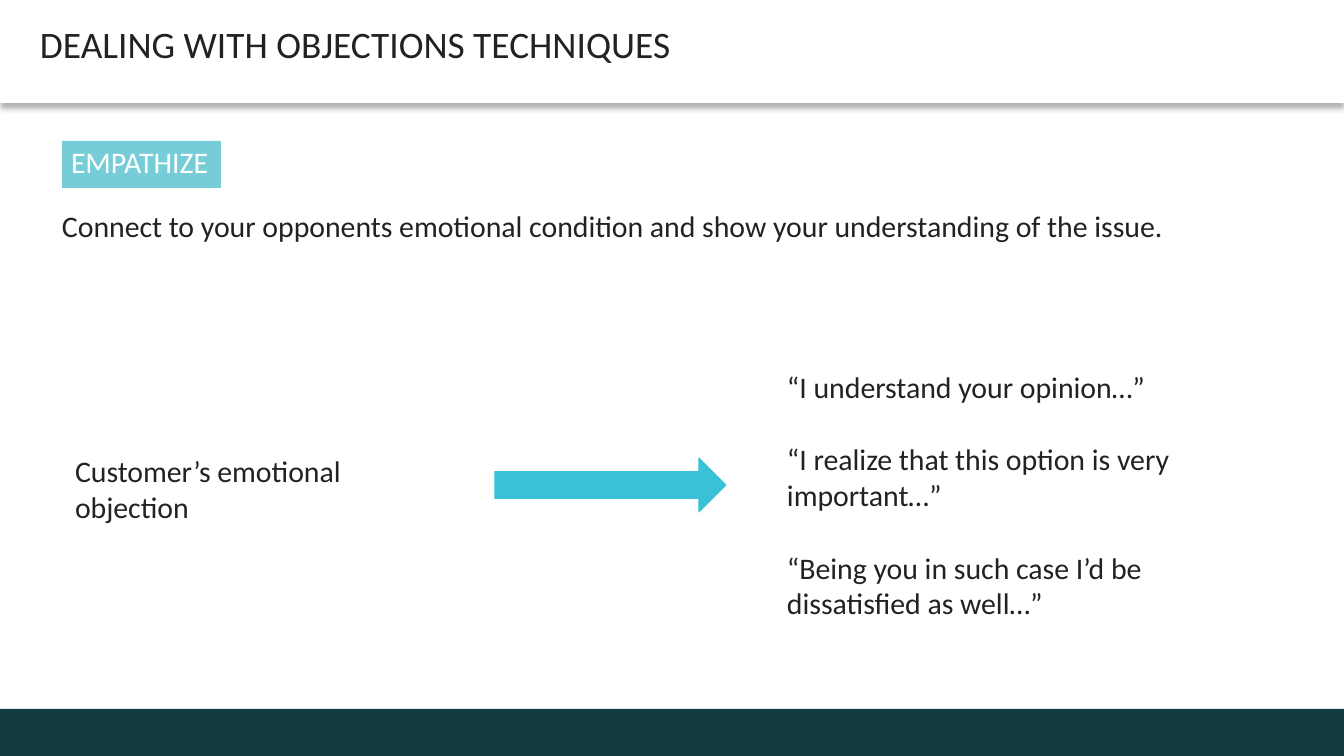
import dataclasses

import lxml.etree
import pptx
import pptx.dml.color
import pptx.enum.shapes
import pptx.enum.text
import pptx.oxml.ns
import pptx.util

SCALE = 914400 / 134.4
SHAPES = pptx.enum.shapes.MSO_SHAPE
ANCHORS = pptx.enum.text.MSO_ANCHOR


@dataclasses.dataclass(frozen=True)
class Theme:
    """Colours, font and type sizes of the slide."""

    font: str = "Calibri"
    title_size: int = 20
    body_size: int = 16
    ink: str = "222222"
    white: str = "FFFFFF"
    footer: str = "133C41"
    arrow: str = "39C2D7"
    tag: str = "76CDD8"
    shadow: str = "000000"


THEME = Theme()


def px(length):
    """Turn a length in px into EMU."""
    return pptx.util.Emu(round(length * SCALE))


def rgb(value):
    """Turn a hex string into a colour."""
    return pptx.dml.color.RGBColor.from_string(value)


def add_block(page, kind, place, fill, line=None):
    """Add a flat filled shape, outlined if a line colour is given."""
    shape = page.shapes.add_shape(kind, *map(px, place))
    shape.shadow.inherit = False
    shape.fill.solid()
    shape.fill.fore_color.rgb = rgb(fill)
    if line:
        shape.line.color.rgb = rgb(line)
        shape.line.width = pptx.util.Pt(0.5)
    else:
        shape.line.fill.background()
    return shape


def add_shadow(shape, color, alpha, blur, distance):
    """Give a shape a soft shadow that falls straight down."""
    effects = shape._element.spPr.find(pptx.oxml.ns.qn("a:effectLst"))
    outer = lxml.etree.SubElement(
        effects, pptx.oxml.ns.qn("a:outerShdw"),
        blurRad=str(pptx.util.Pt(blur)), dist=str(pptx.util.Pt(distance)),
        dir="5400000", algn="t", rotWithShape="0")
    tint = lxml.etree.SubElement(outer, pptx.oxml.ns.qn("a:srgbClr"), val=color)
    lxml.etree.SubElement(tint, pptx.oxml.ns.qn("a:alpha"), val=str(alpha * 1000))


def write_text(shape, *lines, size=THEME.body_size, color=THEME.ink, insets=(13, 7, 13, 7),
               anchor=ANCHORS.TOP, wrap=True, spacing=None, gap=0):
    """Write one left-aligned paragraph per line, with a gap in points between them."""
    frame = shape.text_frame
    frame.word_wrap = wrap
    frame.vertical_anchor = anchor
    frame.margin_left, frame.margin_top, frame.margin_right, frame.margin_bottom = map(px, insets)
    for index, line in enumerate(lines):
        para = frame.add_paragraph() if index else frame.paragraphs[0]
        para.alignment = pptx.enum.text.PP_ALIGN.LEFT
        if index:
            para.space_before = pptx.util.Pt(gap)
        if spacing:
            para.line_spacing = spacing
        span = para.add_run()
        span.text = line
        span.font.name = THEME.font
        span.font.size = pptx.util.Pt(size)
        span.font.color.rgb = rgb(color)


def add_text(page, place, *lines, **style):
    """Add a text box holding the given lines."""
    box = page.shapes.add_textbox(*map(px, place))
    write_text(box, *lines, **style)


def main():
    """Build the slide and save it."""
    deck = pptx.Presentation()
    deck.slide_width, deck.slide_height = px(1344), px(756)
    page = deck.slides.add_slide(deck.slide_layouts[6])
    tight = pptx.util.Pt(16)

    add_block(page, SHAPES.RECTANGLE, (0, 709, 1344, 47), THEME.footer)
    header = add_block(page, SHAPES.RECTANGLE, (0, 0, 1344, 103), THEME.white)
    add_shadow(header, THEME.shadow, alpha=30, blur=3.1, distance=2)
    write_text(header, "DEALING WITH OBJECTIONS TECHNIQUES", size=THEME.title_size,
               insets=(40, 5, 9, 5), anchor=ANCHORS.MIDDLE, spacing=tight)

    tag = add_block(page, SHAPES.RECTANGLE, (62, 141, 159, 47), THEME.tag)
    write_text(tag, "EMPATHIZE", color=THEME.white, insets=(9, 8, 9, 8),
               anchor=ANCHORS.MIDDLE, wrap=False, spacing=tight)
    add_text(page, (53, 196, 1224, 69),
             "Connect to your opponents emotional condition and show your "
             "understanding of the issue.",
             insets=(9, 5, 9, 5), spacing=1.2)

    add_text(page, (62, 446, 386, 86), "Customer’s emotional objection")
    add_block(page, SHAPES.RIGHT_ARROW, (495, 458, 231, 54), THEME.arrow, line=THEME.arrow)
    add_text(page, (774, 362, 487, 267),
             "“I understand your opinion…”",
             "“I realize that this option is very important…”",
             "“Being you in such case I’d be dissatisfied as well…”",
             gap=19.5)

    deck.save("out.pptx")


if __name__ == "__main__":
    main()
